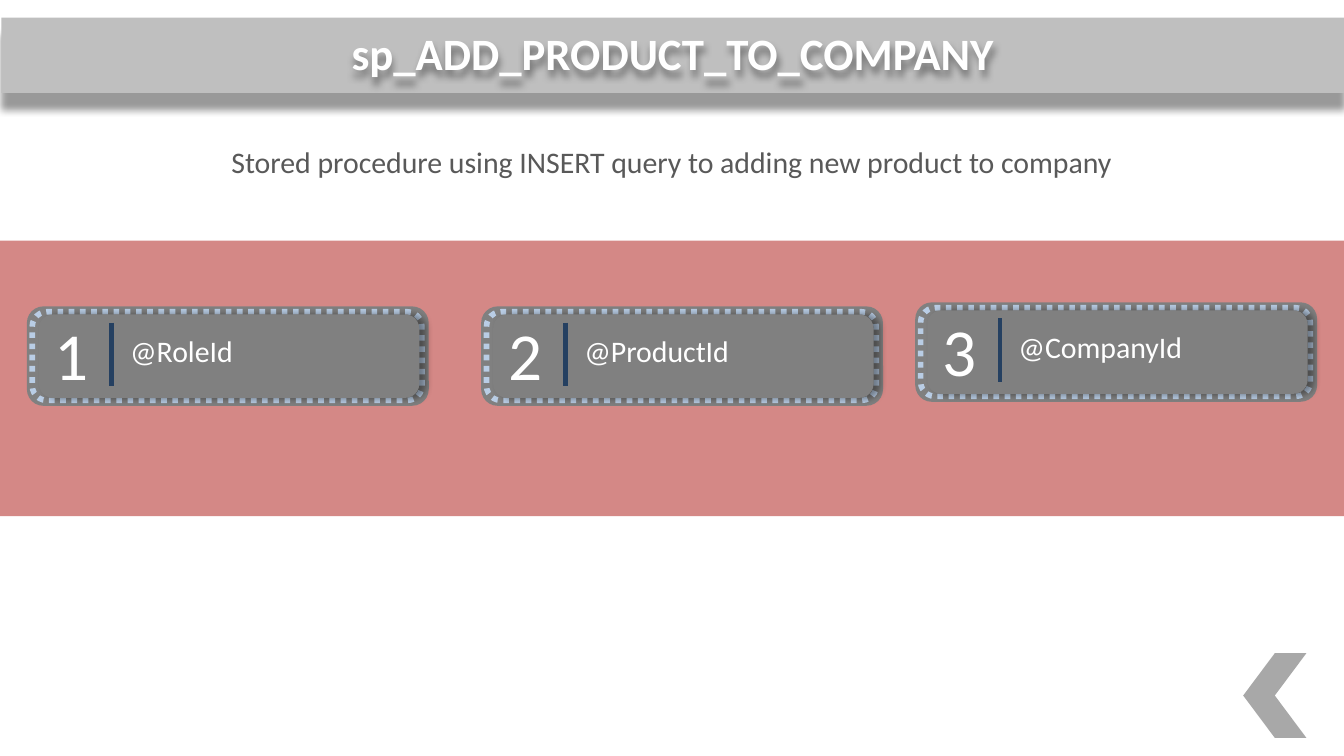
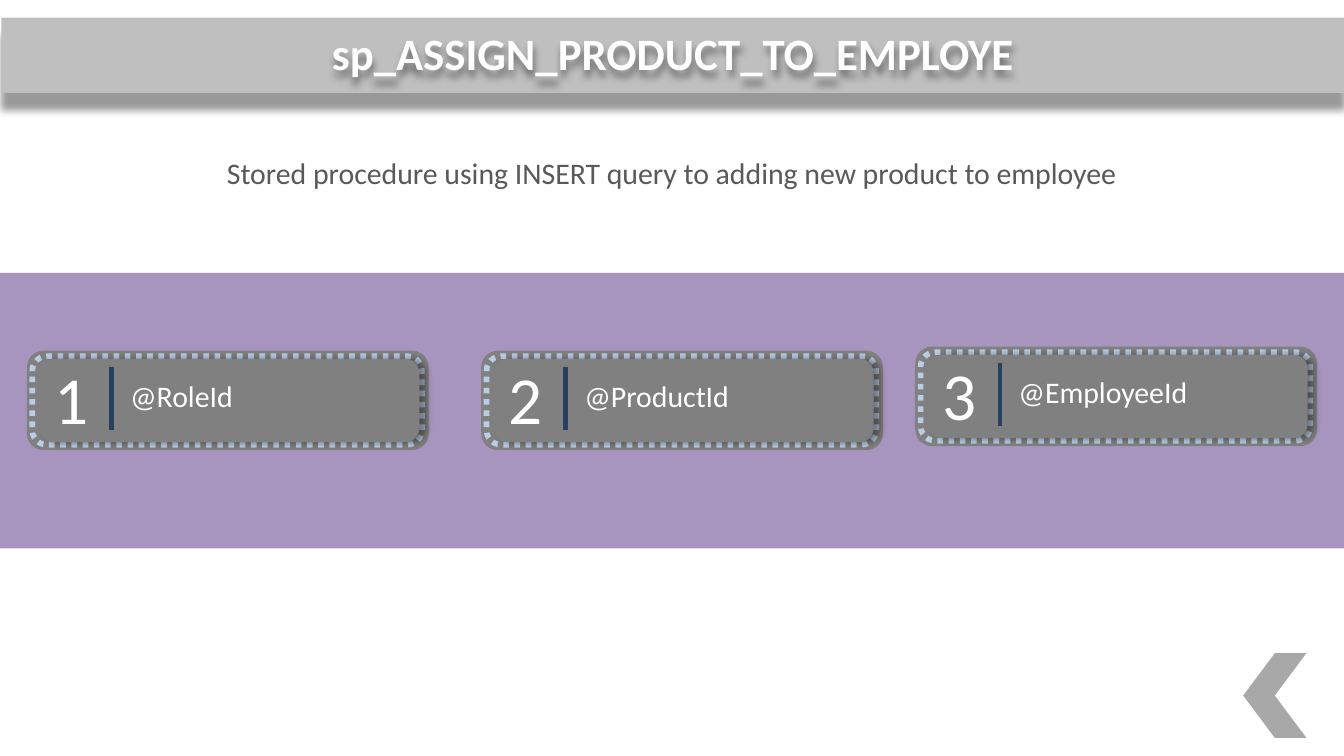
from lxml import etree
from pptx import Presentation, util as u
from pptx.dml.color import RGBColor
from pptx.enum import dml, shapes as kinds, text
from pptx.oxml import ns

WIDTH = 10
HEIGHT = WIDTH * 9 / 16
FONT = "Calibri"
WHITE, GREY, SILVER = "FFFFFF", "808080", "BFBFBF"
BODY, DOTS, NAVY = "595959", "B9CDE5", "254061"
BAND_HEIGHT, OPACITY = 2.05, 68
CARD_SPOTS = [(0.2, 0.03), (3.58, 0.03), (6.81, 0)]

SLIDES = [
    {
        "title": "sp_ADD_PRODUCT_TO_COMPANY",
        "summary": "Stored procedure using INSERT query to adding new product to company",
        "parameters": ["@RoleId", "@ProductId", "@CompanyId"],
        "band": "C0504D", "band_top": 1.79, "summary_top": 1.02, "cards_top": 2.25,
    },
    {
        "title": "sp_ASSIGN_PRODUCT_TO_EMPLOYE",
        "summary": "Stored procedure using INSERT query to adding new product to employee",
        "parameters": ["@RoleId", "@ProductId", "@EmployeeId"],
        "band": "8064A2", "band_top": 2.03, "summary_top": 1.1, "cards_top": 2.58,
    },
]


def color(value):
    return RGBColor.from_string(value)


def inches(*lengths):
    return [u.Inches(length) for length in lengths]


def add_child(parent, tag, **attributes):
    child = etree.SubElement(parent, ns.qn(tag))
    for name, value in attributes.items():
        child.set(name, str(value))
    return child


def add_shadow(shape, distance, direction):
    shape.shadow.inherit = False
    effects = shape._element.spPr.find(ns.qn("a:effectLst"))
    shadow = add_child(effects, "a:outerShdw", blurRad=u.Pt(4), dist=u.Pt(distance),
                       dir=direction * 60000, algn="t", rotWithShape=0)
    add_child(add_child(shadow, "a:srgbClr", val="000000"), "a:alpha", val=40000)


def add_box(parent, kind, box, fill, opacity=100):
    shape = parent.shapes.add_shape(kind, *inches(*box))
    shape.shadow.inherit = False
    shape.fill.solid()
    shape.fill.fore_color.rgb = color(fill)
    shape.line.fill.background()
    if opacity < 100:
        fill_color = shape._element.spPr.find(ns.qn("a:solidFill"))[0]
        add_child(fill_color, "a:alpha", val=opacity * 1000)
    return shape


def add_text(parent, box, words, size, ink, centred=True, bold=False, grow=True):
    shape = parent.shapes.add_textbox(*inches(*box))
    frame = shape.text_frame
    frame.word_wrap = True
    if grow:
        frame.auto_size = text.MSO_AUTO_SIZE.SHAPE_TO_FIT_TEXT
    paragraph = frame.paragraphs[0]
    paragraph.text = words
    paragraph.alignment = text.PP_ALIGN.CENTER if centred else text.PP_ALIGN.LEFT
    font = paragraph.font
    font.name, font.size, font.bold = FONT, u.Pt(size), bold
    font.color.rgb = color(ink)
    return shape


def add_title(slide, words):
    group = slide.shapes.add_group_shape()
    banner = add_box(group, kinds.MSO_SHAPE.RECTANGLE, (0.01, 0.13, WIDTH - 0.01, 0.56), SILVER)
    banner.rotation = 180
    banner._element.spPr.find(ns.qn("a:xfrm")).set("flipH", "1")
    add_shadow(banner, 9, 90)
    title = add_text(group, (0.01, 0.15, WIDTH - 0.01, 0.48), words, 24, WHITE,
                     bold=True, grow=False)
    frame = title.text_frame
    frame.margin_left = frame.margin_right = u.Inches(0.07)
    frame.margin_top = frame.margin_bottom = u.Inches(0.04)
    add_shadow(title, 3, 90)


def add_card(slide, left, top, number, parameter):
    rounded = kinds.MSO_SHAPE.ROUNDED_RECTANGLE
    plate = slide.shapes.add_group_shape()
    add_box(plate, rounded, (left, top, 2.99, 0.74), GREY)
    stitched = add_box(plate, rounded, (left + 0.04, top + 0.04, 2.9, 0.66), GREY)
    stitched.line.color.rgb = color(DOTS)
    stitched.line.width = u.Pt(3)
    stitched.line.dash_style = dml.MSO_LINE.ROUND_DOT
    face = add_box(plate, rounded, (left + 0.09, top + 0.06, 2.83, 0.62), GREY)
    add_shadow(face, 3, 0)

    label = slide.shapes.add_group_shape()
    add_text(label, (left + 0.01, top, 0.64, 0.71), str(number), 36, WHITE)
    divider = label.shapes.add_connector(
        kinds.MSO_CONNECTOR.STRAIGHT,
        *inches(left + 0.63, top + 0.12, left + 0.63, top + 0.59))
    divider.line.color.rgb = color(NAVY)
    divider.line.width = u.Pt(2.5)
    add_child(divider._element.spPr, "a:effectLst")
    add_text(label, (left + 0.67, top + 0.15, 2.33, 0.37), parameter, 16, WHITE, centred=False)


presentation = Presentation()
presentation.slide_width, presentation.slide_height = inches(WIDTH, HEIGHT)

for content in SLIDES:
    slide = presentation.slides.add_slide(presentation.slide_layouts[6])
    add_box(slide, kinds.MSO_SHAPE.RECTANGLE,
            (0, content["band_top"], WIDTH, BAND_HEIGHT), content["band"], OPACITY)
    add_title(slide, content["title"])
    for number, ((left, drop), parameter) in enumerate(
            zip(CARD_SPOTS, content["parameters"]), start=1):
        add_card(slide, left, content["cards_top"] + drop, number, parameter)
    add_text(slide, (0, content["summary_top"], WIDTH, 0.37), content["summary"], 16, BODY)
    back = add_box(slide, kinds.MSO_SHAPE.CHEVRON, (9.25, 4.86, 0.47, 0.63), GREY, OPACITY)
    back.rotation = 180

presentation.save("out.pptx")
